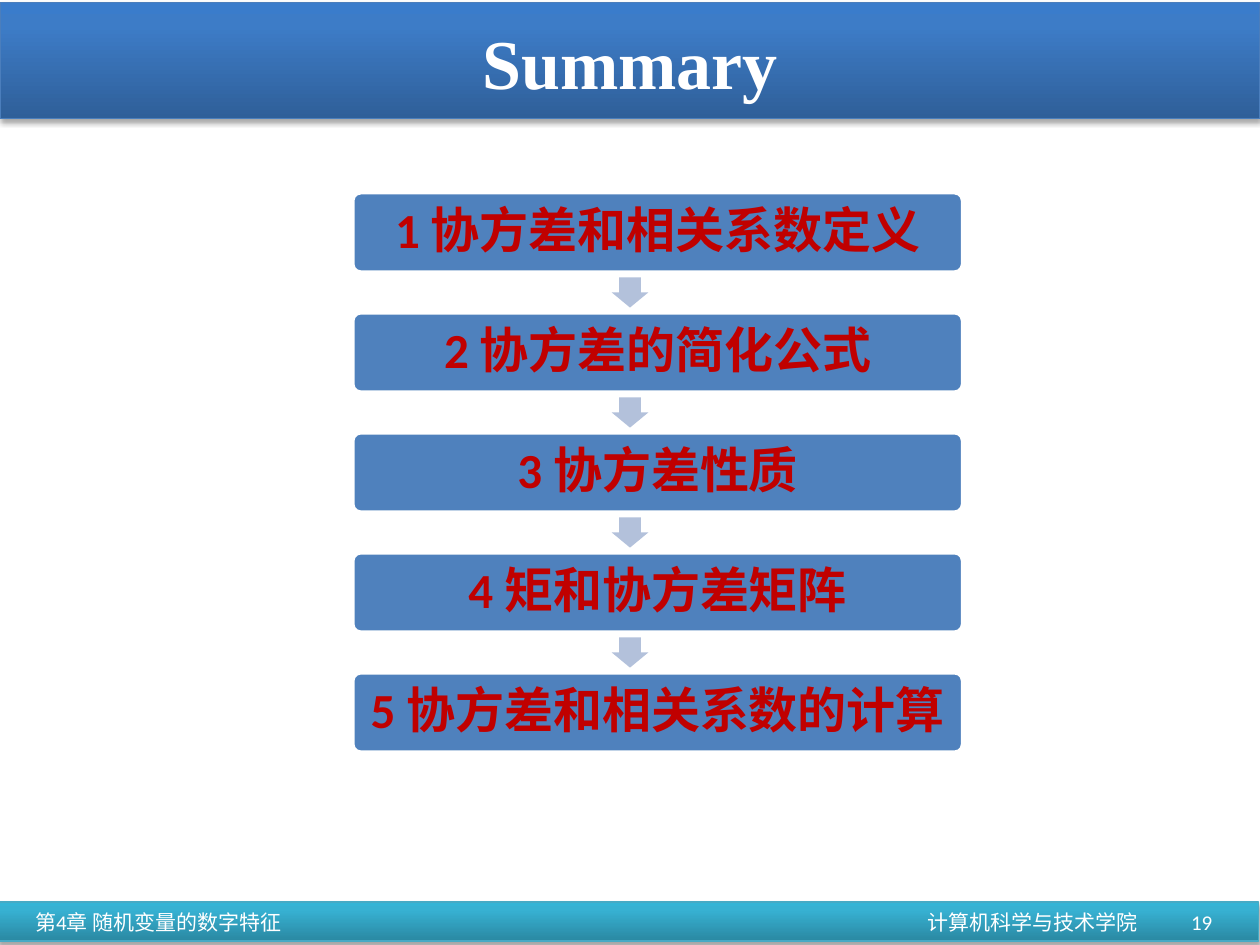
from copy import deepcopy
from dataclasses import dataclass

from lxml import etree
from pptx import Presentation
from pptx.dml.color import RGBColor
from pptx.enum.shapes import MSO_SHAPE
from pptx.enum.text import MSO_ANCHOR, PP_ALIGN
from pptx.oxml.ns import qn
from pptx.util import Inches, Pt

RECT, ROUND, DOWN = MSO_SHAPE.RECTANGLE, MSO_SHAPE.ROUNDED_RECTANGLE, MSO_SHAPE.DOWN_ARROW
MIDDLE = MSO_ANCHOR.MIDDLE
LEFT, CENTER, RIGHT = PP_ALIGN.LEFT, PP_ALIGN.CENTER, PP_ALIGN.RIGHT


@dataclass(frozen=True)
class Theme:
    head: tuple = ("2F5F99", "3D7CC7", "3A7CCB")
    head_line: str = "4B7EBC"
    foot: tuple = ("2A88A2", "37B1D2", "34B4D6")
    foot_line: str = "46AAC5"
    step: str = "4F81BD"
    arrow: str = "B3C1DB"
    ink: str = "C00000"
    white: str = "FFFFFF"
    title_font: str = "Times New Roman"
    font: str = "Calibri"
    title_size: int = 40
    step_size: int = 28
    foot_size: int = 12


THEME = Theme()
STEPS = ["1 协方差和相关系数定义", "2 协方差的简化公式", "3 协方差性质",
         "4 矩和协方差矩阵", "5 协方差和相关系数的计算"]


def rgb(code):
    return RGBColor.from_string(code)


def write(shape, text, size, color, align, font=THEME.font, bold=False):
    frame = shape.text_frame
    frame.text = text
    frame.vertical_anchor = MIDDLE
    par = frame.paragraphs[0]
    par.alignment = align
    face = par.runs[0].font
    face.name, face.size, face.bold = font, Pt(size), bold
    face.color.rgb = rgb(color)
    return par


def add_shape(slide, kind, box, color):
    shape = slide.shapes.add_shape(kind, *map(Inches, box))
    shape.shadow.inherit = False
    shape.fill.solid()
    shape.fill.fore_color.rgb = rgb(color)
    shape.line.fill.background()
    return shape


def add_bar(slide, box, colors, edge):
    """Add a bar shaded from bottom to top, with a soft shadow below it."""
    bar = add_shape(slide, RECT, box, colors[0])
    bar.line.color.rgb = rgb(edge)
    bar.line.width = Pt(0.75)
    bar.fill.gradient()
    bar.fill.gradient_angle = 90
    props = bar._element.spPr
    stops = props.find(".//" + qn("a:gsLst"))
    stops.append(deepcopy(stops[-1]))
    for stop, color, place in zip(bar.fill.gradient_stops, colors, (0, 0.8, 1)):
        stop.color.rgb = rgb(color)
        stop.position = place
    cast = etree.SubElement(props.find(qn("a:effectLst")), qn("a:outerShdw"),
                            blurRad=str(Pt(3.1)), dist=str(Pt(1.8)),
                            dir="5400000", rotWithShape="0")
    tint = etree.SubElement(cast, qn("a:srgbClr"), val="000000")
    etree.SubElement(tint, qn("a:alpha"), val="35000")


def add_head(slide, box, text):
    add_bar(slide, box, THEME.head, THEME.head_line)
    left, top, width, _ = box
    title = slide.shapes.title
    title.left, title.top = Inches(left + 0.5), Inches(top + 0.08)
    title.width, title.height = Inches(width - 1), Inches(0.77)
    write(title, text, THEME.title_size, THEME.white, CENTER, THEME.title_font, True)
    slide.shapes._spTree.append(title._element)


def add_foot(slide, box, chapter, school, page):
    add_bar(slide, box, THEME.foot, THEME.foot_line)
    left, top, width, height = box
    parts = [(chapter, 0.19, 4, LEFT), (school, 5.14, 4, RIGHT), (page, 9, 0.73, RIGHT)]
    for text, shift, span, align in parts:
        label = slide.shapes.add_textbox(Inches(left + shift), Inches(top),
                                         Inches(span), Inches(height))
        label.text_frame.word_wrap = True
        write(label, text, THEME.foot_size, THEME.white, align)


def add_flow(slide, box, steps):
    """Stack the steps evenly in the box, with an arrow in each gap."""
    left, top, width, height = box
    tall = 0.63
    pitch = (height - tall) / (len(steps) - 1)
    wide, high = 0.29, 0.24
    for i, text in enumerate(steps):
        y = top + i * pitch
        step = add_shape(slide, ROUND, (left, y, width, tall), THEME.step)
        step.adjustments[0] = 0.1
        step.line.color.rgb = rgb(THEME.white)
        step.line.width = Pt(2)
        frame = step.text_frame
        frame.word_wrap = False
        frame.margin_top = frame.margin_bottom = Inches(0.14)
        par = write(step, text, THEME.step_size, THEME.ink, CENTER, bold=True)
        par.line_spacing = 0.9
        par.space_after = Pt(0.35 * THEME.step_size)
        if i < len(steps) - 1:
            gap = (pitch - tall - high) / 2
            arrow = add_shape(slide, DOWN, (5 - wide / 2, y + tall + gap, wide, high),
                              THEME.arrow)
            arrow.adjustments[0] = 0.6
            arrow.adjustments[1] = 0.5


def main():
    deck = Presentation()
    deck.slide_width, deck.slide_height = Inches(10), Inches(7.5)
    slide = deck.slides.add_slide(deck.slide_layouts[5])
    add_foot(slide, (-0.01, 7.16, 10, 0.31), "第4章 随机变量的数字特征",
             "计算机科学与技术学院", "19")
    add_head(slide, (0, 0.02, 10, 0.92), "Summary")
    add_flow(slide, (2.8, 1.53, 4.84, 4.44), STEPS)
    deck.save("out.pptx")


if __name__ == "__main__":
    main()
